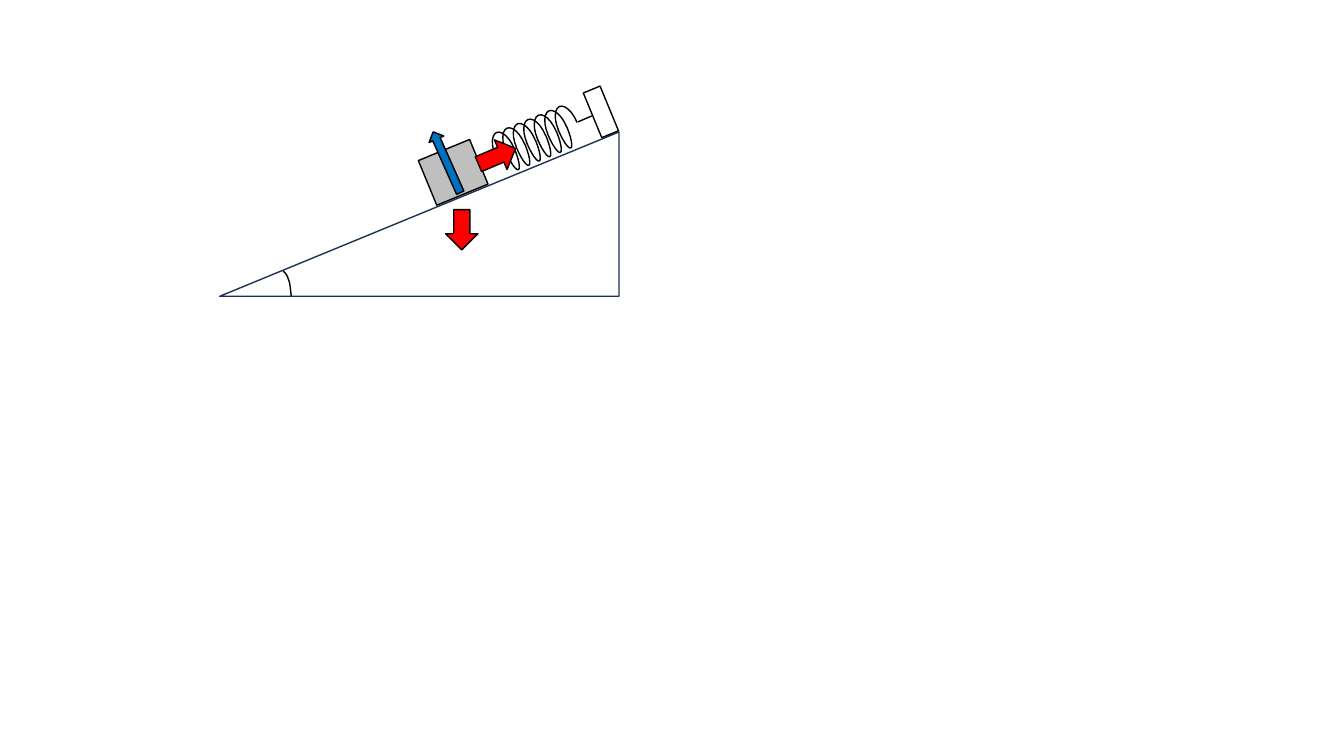
from dataclasses import dataclass

from lxml import etree
from pptx import Presentation
from pptx.dml.color import RGBColor
from pptx.enum.shapes import MSO_CONNECTOR, MSO_SHAPE
from pptx.oxml.ns import qn
from pptx.util import Inches, Pt

RIGHT_TRIANGLE = MSO_SHAPE.RIGHT_TRIANGLE
RECTANGLE = MSO_SHAPE.RECTANGLE
ARC = MSO_SHAPE.ARC
DOWN_ARROW = MSO_SHAPE.DOWN_ARROW
STRAIGHT = MSO_CONNECTOR.STRAIGHT
BLANK_LAYOUT = 6
LEFT_SIDE = 1


@dataclass(frozen=True)
class Theme:
    outline: str = "000000"
    ramp: str = "1E3256"
    block: str = "BFBFBF"
    force: str = "FF0000"
    normal: str = "0070C0"
    line_width: float = 1


class Diagram:
    def __init__(self, slide, theme):
        self.slide = slide
        self.theme = theme

    def outline(self, element, color=None):
        element.line.color.rgb = RGBColor.from_string(color or self.theme.outline)
        element.line.width = Pt(self.theme.line_width)

    def paint(self, element, fill=None, line=None):
        element.shadow.inherit = False
        if fill:
            element.fill.solid()
            element.fill.fore_color.rgb = RGBColor.from_string(fill)
        else:
            element.fill.background()
        self.outline(element, line)

    def shape(self, kind, box, fill=None, line=None, parent=None, adjust=(), **formats):
        shapes = (parent or self.slide).shapes
        element = shapes.add_shape(kind, *map(Inches, box))
        for index, value in enumerate(adjust):
            element.adjustments[index] = value
        for name, value in formats.items():
            setattr(element, name, value)
        self.paint(element, fill, line)
        return element

    def mirror(self, element):
        element._element.spPr.find(qn("a:xfrm")).set("flipH", "1")

    def line(self, start, end, parent):
        connector = parent.shapes.add_connector(STRAIGHT, *map(Inches, start + end))
        self.outline(connector)
        etree.SubElement(connector._element.spPr, qn("a:effectLst"))
        return connector

    def join_start(self, connector, target, side, start):
        connector.begin_connect(target, side)
        for name, value in zip(("begin_x", "begin_y"), start):
            setattr(connector, name, Inches(value))

    def curve(self, start, segments, steps=8):
        points = []
        origin = start
        for first, second, end in segments:
            for step in range(1, steps + 1):
                t = step / steps
                u = 1 - t
                points.append(tuple(
                    Inches(u**3 * a + 3 * u * u * t * b + 3 * u * t * t * c + t**3 * d)
                    for a, b, c, d in zip(origin, first, second, end)
                ))
            origin = end
        builder = self.slide.shapes.build_freeform(*map(Inches, start))
        builder.add_line_segments(points, close=False)
        self.paint(builder.convert_to_shape())

    def coils(self, spring, left, top, height, count, rotation):
        pitch_x, pitch_y = 0.104, 0.043
        for turn in range(count):
            box = (left - turn * pitch_x, top + turn * pitch_y, 0.42, height)
            self.shape(ARC, box, parent=spring, adjust=(160.7, 55.15), rotation=rotation)


def main():
    presentation = Presentation()
    presentation.slide_width = Inches(13.33)
    presentation.slide_height = Inches(7.5)
    slide = presentation.slides.add_slide(presentation.slide_layouts[BLANK_LAYOUT])
    theme = Theme()
    diagram = Diagram(slide, theme)

    ramp = diagram.shape(RIGHT_TRIANGLE, (2.18, 1.31, 3.96, 1.63), line=theme.ramp)
    diagram.mirror(ramp)
    diagram.shape(RECTANGLE, (4.22, 1.47, 0.55, 0.48), theme.block, rotation=337.6)
    stopper = diagram.shape(RECTANGLE, (5.87, 0.87, 0.18, 0.48), rotation=337.6)

    spring = slide.shapes.add_group_shape()
    diagram.coils(spring, 5.42, 1.15, 0.2, 7, 247.3)
    diagram.coils(spring, 5.37, 1.23, 0.09, 6, 67.3)
    diagram.line((4.92, 1.55), (4.78, 1.61), spring)
    stopper_end = (5.87, 1.15)
    stopper_link = diagram.line(stopper_end, (5.73, 1.21), spring)
    diagram.join_start(stopper_link, stopper, LEFT_SIDE, stopper_end)

    diagram.shape(DOWN_ARROW, (4.42, 2.08, 0.32, 0.4), theme.force)
    diagram.curve((2.81, 2.69), [
        ((2.83, 2.71), (2.85, 2.73), (2.86, 2.77)),
        ((2.88, 2.81), (2.88, 2.88), (2.89, 2.94)),
    ])
    diagram.shape(DOWN_ARROW, (4.77, 1.35, 0.32, 0.4), theme.force, rotation=247)
    diagram.shape(DOWN_ARROW, (4.35, 1.28, 0.16, 0.66), theme.normal, rotation=156)

    presentation.save("out.pptx")


if __name__ == "__main__":
    main()
